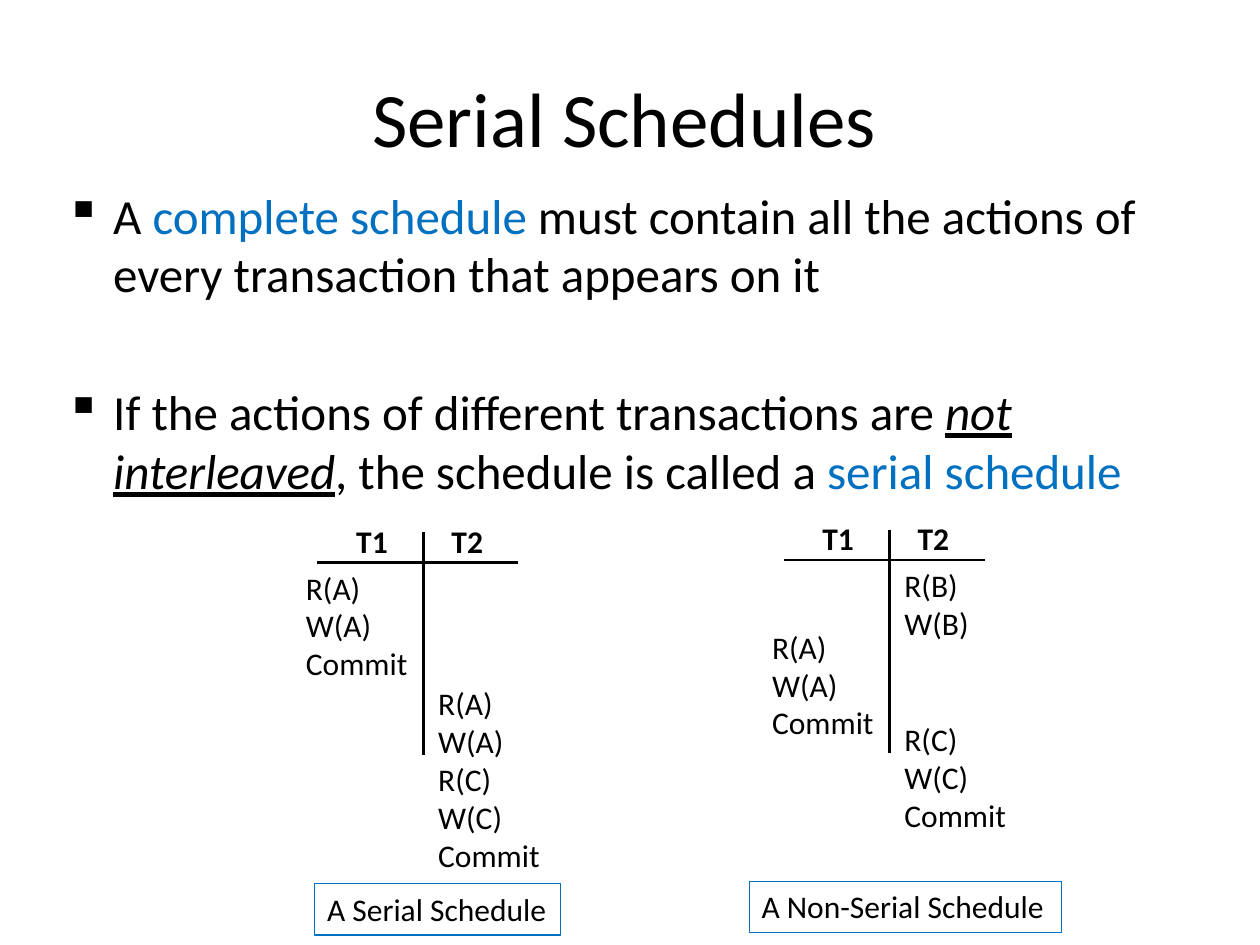
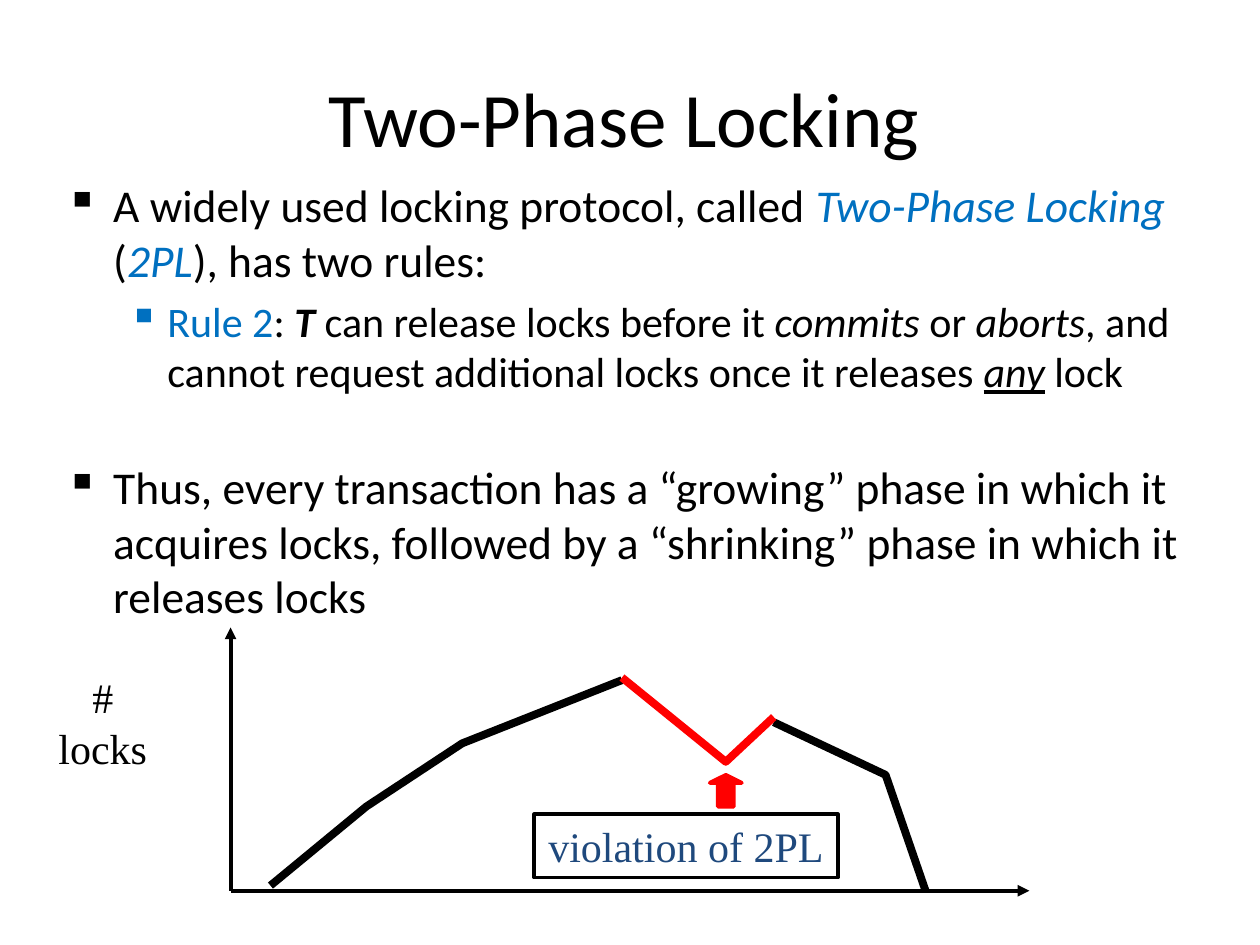
from dataclasses import dataclass

from lxml import etree
from pptx import Presentation
from pptx import util as u
from pptx.dml.color import RGBColor
from pptx.enum import shapes, text
from pptx.oxml import ns


@dataclass(frozen=True)
class Theme:
    ink: RGBColor = RGBColor(0, 0, 0)
    accent: RGBColor = RGBColor(0x00, 0x70, 0xC0)
    alert: RGBColor = RGBColor(0xFF, 0, 0)
    navy: RGBColor = RGBColor(0x1F, 0x49, 0x7D)
    sans: str = "Calibri"
    serif: str = "Times New Roman"
    title: int = 44
    label: int = 18
    plot_label: int = 24
    thin: float = 0.75
    rule: float = 1.5
    axis: float = 2.25
    curve: float = 4.5


THEME = Theme()
CELL = u.Inches(0.1)
COLS, ROWS = 100, 75


@dataclass(frozen=True)
class Box:
    x: float
    y: float
    w: float
    h: float

    def inner(self, x, y, w, h):
        return Box(self.x + x * self.w, self.y + y * self.h, w * self.w, h * self.h)

    def point(self, x, y):
        return int((self.x + x * self.w) * CELL), int((self.y + y * self.h) * CELL)

    def emu(self):
        return [int(n * CELL) for n in (self.x, self.y, self.w, self.h)]


TITLE = Box(0.8, 3, 97.5, 12.5)


def style_run(r, size, color=THEME.ink, font=THEME.sans, marks=""):
    f = r.font
    f.name, f.size, f.color.rgb = font, u.Pt(size), color
    if "b" in marks:
        f.bold = True
    if "i" in marks:
        f.italic = True
    if "u" in marks:
        f.underline = True


def add_label(s, box, words, size=THEME.label, color=THEME.ink, font=THEME.sans,
              marks="", align=text.PP_ALIGN.LEFT, anchor=text.MSO_ANCHOR.TOP,
              wrap=True, border=None):
    if border:
        sp = s.shapes.add_shape(shapes.MSO_SHAPE.RECTANGLE, *box.emu())
        sp.shadow.inherit = False
        sp.fill.background()
        sp.line.color.rgb, sp.line.width = border[0], u.Pt(border[1])
    else:
        sp = s.shapes.add_textbox(*box.emu())
    tf = sp.text_frame
    tf.text = words
    tf.word_wrap, tf.vertical_anchor = wrap, anchor
    for p in tf.paragraphs:
        p.alignment = align
        for r in p.runs:
            style_run(r, size, color, font, marks)


def add_title(s, words):
    add_label(s, TITLE, words, THEME.title, align=text.PP_ALIGN.CENTER,
              anchor=text.MSO_ANCHOR.MIDDLE)


def add_bullets(s, box, bullets):
    tf = s.shapes.add_textbox(*box.emu()).text_frame
    tf.word_wrap = True
    for i, (level, size, before, runs) in enumerate(bullets):
        p = tf.paragraphs[0] if i == 0 else tf.add_paragraph()
        margin, hang = ((0.38, 0.38), (0.81, 0.31))[level]
        pPr = p._p.get_or_add_pPr()
        pPr.set("marL", str(u.Inches(margin)))
        pPr.set("indent", str(-u.Inches(hang)))
        etree.SubElement(pPr, ns.qn("a:buChar")).set("char", "▪")
        p.level = level
        if before:
            p.space_before = u.Pt(before)
        for words, marks in runs:
            r = p.add_run()
            r.text = words
            style_run(r, size, THEME.accent if "a" in marks else THEME.ink, marks=marks)


def add_line(s, start, end, width, arrow=False):
    c = s.shapes.add_connector(shapes.MSO_CONNECTOR.STRAIGHT, *start, *end)
    c.line.color.rgb, c.line.width = THEME.ink, u.Pt(width)
    if arrow:
        etree.SubElement(c.line._get_or_add_ln(), ns.qn("a:tailEnd")).set("type", "triangle")
    etree.SubElement(c._element.spPr, ns.qn("a:effectLst"))


def add_curve(s, box, shares, color):
    points = [box.point(*share) for share in shares]
    builder = s.shapes.build_freeform(*points[0])
    builder.add_line_segments(points[1:], close=False)
    sp = builder.convert_to_shape()
    sp.shadow.inherit = False
    sp.fill.background()
    sp.line.color.rgb, sp.line.width = color, u.Pt(THEME.curve)


def add_schedule(s, box, steps, caption, caption_x, caption_w):
    header, row = 0.11, 0.09
    add_line(s, box.point(0.49, 0.04), box.point(0.49, 0.56), THEME.rule)
    add_line(s, box.point(0.09, header), box.point(0.85, header), THEME.rule)
    for name, x in (("T1", 0.19), ("T2", 0.55)):
        add_label(s, box.inner(x, 0, 0.28, 0.12), name, marks="b")
    for column, first_row, actions in steps:
        area = box.inner(column * 0.5, header + first_row * row, 0.52,
                         (len(actions) + 0.33) * row)
        add_label(s, area, "\n".join(actions))
    add_label(s, box.inner(caption_x, 0.86, caption_w, 0.12), caption,
              wrap=False, border=(THEME.accent, THEME.thin))


def add_lock_plot(s, box):
    origin = box.point(0, 1)
    for end in ((1, 1), (0, 0)):
        add_line(s, origin, box.point(*end), THEME.axis, arrow=True)
    growing = [(0.05, 0.98), (0.17, 0.68), (0.29, 0.44), (0.49, 0.2)]
    shrinking = [(0.68, 0.36), (0.82, 0.56), (0.87, 1)]
    violation = [(0.49, 0.19), (0.62, 0.51), (0.68, 0.34)]
    for shares, color in ((growing, THEME.ink), (shrinking, THEME.ink),
                          (violation, THEME.alert)):
        add_curve(s, box, shares, color)
    arrow = s.shapes.add_shape(shapes.MSO_SHAPE.UP_ARROW,
                               *box.inner(0.6, 0.56, 0.04, 0.12).emu())
    arrow.shadow.inherit = False
    arrow.adjustments[0], arrow.adjustments[1] = 0.5, 0.25
    arrow.fill.solid()
    arrow.fill.fore_color.rgb = arrow.line.color.rgb = THEME.alert
    arrow.line.width = u.Pt(THEME.axis)
    for words, area, color, border in (
            ("# locks", (-0.25, 0.24, 0.18, 0.24), THEME.ink, None),
            ("violation of 2PL", (0.38, 0.71, 0.38, 0.24), THEME.navy,
             (THEME.ink, THEME.axis))):
        add_label(s, box.inner(*area), words, THEME.plot_label, color, THEME.serif,
                  align=text.PP_ALIGN.CENTER, anchor=text.MSO_ANCHOR.MIDDLE,
                  wrap=False, border=border)


def serial_slide(s):
    add_title(s, "Serial Schedules")
    add_bullets(s, Box(4.2, 14.2, 94.5, 27), [
        (0, 28, 0, [
            ("A ", ""), ("complete schedule ", "a"),
            ("must contain all the actions of every transaction that appears on it", "")]),
        (0, 28, 45, [
            ("If the actions of different transactions are ", ""), ("not", "iu"), (" ", ""),
            ("interleaved", "iu"), (", the schedule is called a ", ""),
            ("serial schedule", "a")]),
    ])
    t1 = ["R(A)", "W(A)", "Commit"]
    add_schedule(s, Box(23.3, 40.9, 21, 34),
                 [(0, 0, t1), (1, 3, ["R(A)", "W(A)", "R(C)", "W(C)", "Commit"])],
                 "A Serial Schedule", 0.08, 0.93)
    add_schedule(s, Box(60.3, 40.7, 21, 34),
                 [(0, 1.6, t1), (1, 0, ["R(B)", "W(B)"]), (1, 4, ["R(C)", "W(C)", "Commit"])],
                 "A Non-Serial Schedule", -0.04, 1.18)


def locking_slide(s):
    add_title(s, "Two-Phase Locking")
    add_bullets(s, Box(4.2, 13.6, 94.5, 36), [
        (0, 26, 0, [
            ("A widely used locking protocol, called ", ""), ("Two-Phase Locking ", "ai"),
            ("(", ""), ("2PL", "ai"), ("), has two rules:", "")]),
        (1, 24, 5, [
            ("Rule 2", "a"), (": ", ""), ("T", "bi"), (" can release locks before it ", ""),
            ("commits", "i"), (" or ", ""), ("aborts", "i"),
            (", and cannot request additional locks once it releases ", ""),
            ("any", "iu"), (" lock", "")]),
        (0, 26, 36, [
            ("Thus, every transaction has a “growing” phase in which it acquires locks, "
             "followed by a “shrinking” phase in which it releases locks", "")]),
    ])
    add_lock_plot(s, Box(18.3, 49.8, 63.4, 20.9))


def main():
    prs = Presentation()
    prs.slide_width, prs.slide_height = COLS * CELL, ROWS * CELL
    for build in (serial_slide, locking_slide):
        build(prs.slides.add_slide(prs.slide_layouts[6]))
    prs.save("out.pptx")


if __name__ == "__main__":
    main()
